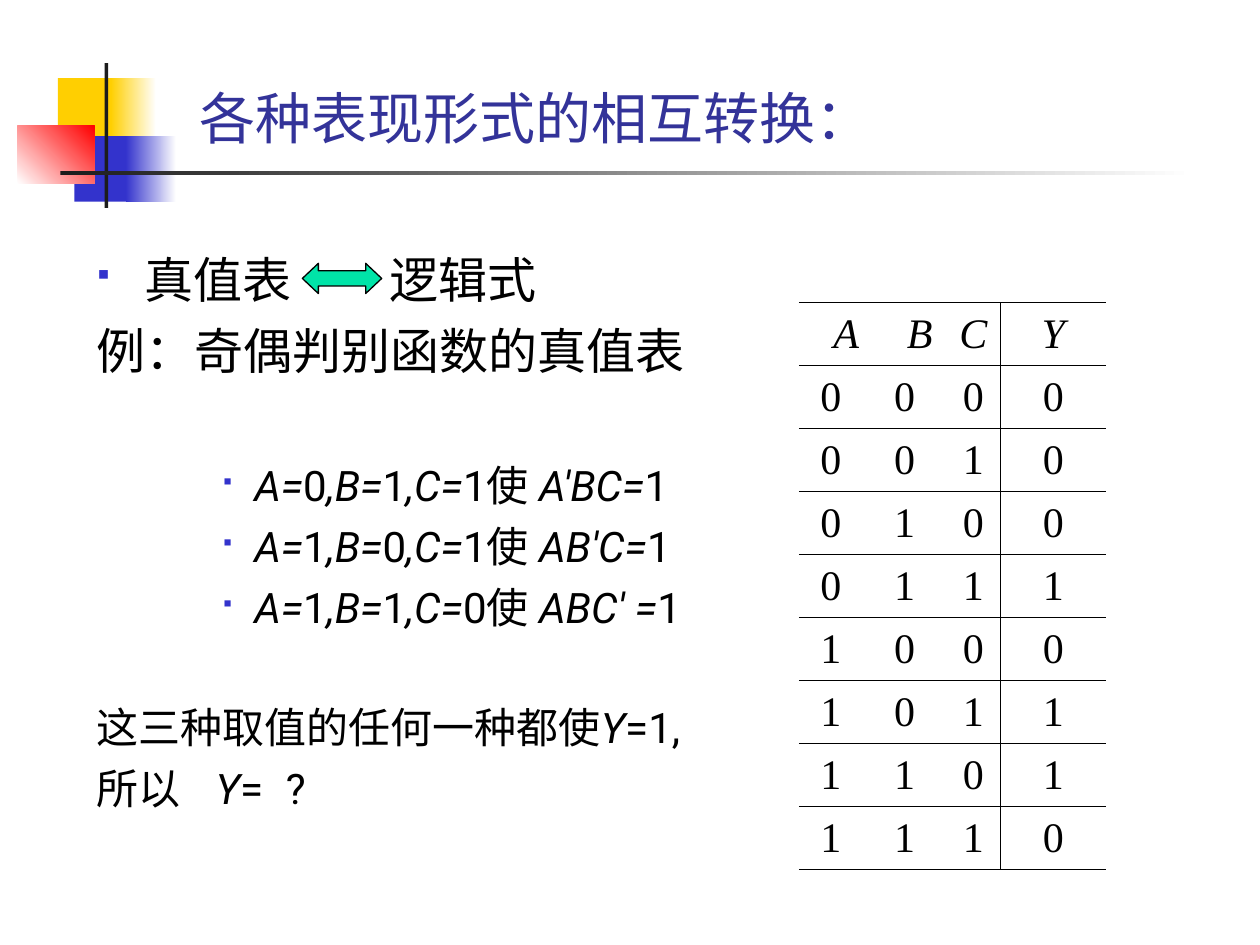
import collections
import pptx
import pptx.dml.color
import pptx.enum.shapes
import pptx.enum.text
import pptx.oxml
import pptx.oxml.ns
import pptx.util

Box = collections.namedtuple("Box", "left top width height")
SLIDE_WIDTH, SLIDE_HEIGHT = pptx.util.Inches(10), pptx.util.Inches(7.5)
COLUMNS, ROWS = 100, 75
BLACK, INK, WHITE = "000000", "1C1C1C", "FFFFFF"
YELLOW, BLUE, RED, NAVY, GREEN = "FFCF01", "3333CC", "FF0000", "333399", "00E4A8"
BODY_FONT, TITLE_FONT, TABLE_FONT = "Roboto", "Noto Sans CJK JP", "Times New Roman"
SHAPES = pptx.enum.shapes.MSO_SHAPE
ALIGN = pptx.enum.text.PP_ALIGN
ANCHOR = pptx.enum.text.MSO_ANCHOR


def color(value):
    return pptx.dml.color.RGBColor.from_string(value)


def across(columns):
    return round(SLIDE_WIDTH * columns / COLUMNS)


def down(rows):
    return round(SLIDE_HEIGHT * rows / ROWS)


def frame(box):
    return across(box.left), down(box.top), across(box.width), down(box.height)


def within(box, left, top, width, height):
    return Box(box.left + left, box.top + top, width, height)


def element(tag, **attributes):
    node = pptx.oxml.parse_xml(f"<a:{tag} {pptx.oxml.ns.nsdecls('a')}/>")
    for name, value in attributes.items():
        node.set(name, str(value))
    return node


def colored(tag, value):
    node = element(tag)
    node.append(element("srgbClr", val=value))
    return node


def format_run(run, font_name, size, value=BLACK, italic=False):
    run.font.name = font_name
    run.font.size = pptx.util.Pt(size)
    run.font.italic = italic
    run.font.color.rgb = color(value)
    run.font._element.find(pptx.oxml.ns.qn("a:latin")).addnext(
        element("ea", typeface=font_name))


def add_block(slide, box, start, end=None, angle=0):
    shape = slide.shapes.add_shape(SHAPES.RECTANGLE, *frame(box))
    shape.shadow.inherit = False
    shape.line.fill.background()
    if end is None:
        shape.fill.solid()
        shape.fill.fore_color.rgb = color(start)
        return
    shape.fill.gradient()
    shape.fill.gradient_angle = angle
    for stop, value in zip(shape.fill.gradient_stops, (start, end)):
        stop.color.rgb = color(value)


def add_emblem(slide, box):
    blocks = [
        ((3.2, 1.2, 4.8, 5.2), YELLOW, None, 0),
        ((7.4, 1.2, 3.6, 5.2), YELLOW, WHITE, 0),
        ((4.5, 5.8, 4.6, 5.2), BLUE, None, 0),
        ((8.6, 5.8, 4, 5.2), BLUE, WHITE, 0),
        ((0, 5, 6.1, 4.6), WHITE, RED, 45),
        ((6.9, 0, 0.3, box.height), INK, None, 0),
        ((3.4, 8.6, box.width - 3.4, 0.3), INK, WHITE, 0),
    ]
    for place, start, end, angle in blocks:
        add_block(slide, within(box, *place), start, end, angle)


def add_title(slide, box, text):
    title = slide.shapes.title
    title.left, title.top, title.width, title.height = frame(box)
    title.text_frame.text = text
    title.text_frame.vertical_anchor = ANCHOR.BOTTOM
    paragraph = title.text_frame.paragraphs[0]
    paragraph.alignment = ALIGN.LEFT
    format_run(paragraph.runs[0], TITLE_FONT, 32, NAVY)


def add_bullet(paragraph, margin, hanging, percent):
    properties = paragraph._p.get_or_add_pPr()
    properties.set("marL", str(across(margin)))
    properties.set("indent", str(-across(hanging)))
    properties.append(colored("buClr", BLUE))
    properties.append(element("buSzPct", val=percent * 1000))
    properties.append(element("buFont", typeface="Wingdings"))
    properties.append(element("buChar", char="§"))


def add_runs(paragraph, pieces, size):
    for piece in pieces:
        run = paragraph.add_run()
        if isinstance(piece, str):
            run.text = piece.lstrip("*")
            format_run(run, BODY_FONT, size, italic=piece.startswith("*"))
        else:
            run.text = " "
            format_run(run, BODY_FONT, size)
            run.font._element.set("spc", str(piece * 100))


def add_body(slide, box):
    cases = [("011", "A′BC="), ("101", "AB′C="), ("110", "ABC′ =")]
    lines = [
        (["真值表", 49, "逻辑式"], 28, 0, (3.8, 3.8, 60)),
        (["例：奇偶判别函数的真值表"], 28, 7, None),
    ]
    for index, ((a, b, c), term) in enumerate(cases):
        pieces = ["*A=", a, "*,B=", b, "*,C=", c + "使 ", "*" + term, "1"]
        lines.append((pieces, 24, 6 if index else 46, (12.5, 2.5, 50)))
    lines += [
        (["这三种取值的任何一种都使", "*Y", "=1,"], 24, 40, None),
        (["所以", 14, "*Y", "=", 7, "?"], 24, 6, None),
    ]
    text_frame = slide.shapes.add_textbox(*frame(box)).text_frame
    text_frame.word_wrap = True
    for index, (pieces, size, space, bullet) in enumerate(lines):
        paragraph = text_frame.add_paragraph() if index else text_frame.paragraphs[0]
        paragraph.space_before = pptx.util.Pt(space)
        if bullet:
            add_bullet(paragraph, *bullet)
        add_runs(paragraph, pieces, size)
    arrow = slide.shapes.add_shape(
        SHAPES.LEFT_RIGHT_ARROW, *frame(within(box, 17.3, 1.6, 6.3, 2.4)))
    arrow.shadow.inherit = False
    arrow.adjustments[1] = 0.53
    arrow.fill.solid()
    arrow.fill.fore_color.rgb = color(GREEN)
    arrow.line.color.rgb = color(BLACK)
    arrow.line.width = pptx.util.Pt(0.75)


def set_borders(cell, visible):
    properties = cell._tc.get_or_add_tcPr()
    for side in "LRTB":
        line = element("ln" + side, w=pptx.util.Pt(0.45))
        line.append(colored("solidFill", BLACK) if side in visible else element("noFill"))
        properties.append(line)
    cell.fill.background()


def add_truth_table(slide, box):
    outputs = "00010110"
    records = ["ABCY"] + [f"{n:03b}{output}" for n, output in enumerate(outputs)]
    widths = [5.1, 2.4, 4.2, 4.3, 8.4]
    table = slide.shapes.add_table(len(records), len(widths), *frame(box)).table
    table.first_row = table.horz_banding = False
    for column, width in zip(table.columns, widths):
        column.width = across(width)
    for row, record in enumerate(records):
        table.rows[row].height = down(box.height / len(records))
        merged, anchors = (0, (0, 2, 3, 4)) if row == 0 else (1, (0, 1, 3, 4))
        table.cell(row, merged).merge(table.cell(row, merged + 1))
        for column in range(len(widths)):
            set_borders(table.cell(row, column), {3: "RTB", 4: "LTB"}.get(column, "TB"))
        for column, text in zip(anchors, record):
            cell = table.cell(row, column)
            cell.text_frame.text = text
            cell.vertical_anchor = ANCHOR.MIDDLE
            paragraph = cell.text_frame.paragraphs[0]
            paragraph.alignment = ALIGN.CENTER
            format_run(paragraph.runs[0], TABLE_FONT, 24, italic=row == 0)


def main():
    presentation = pptx.Presentation()
    presentation.slide_width, presentation.slide_height = SLIDE_WIDTH, SLIDE_HEIGHT
    slide = presentation.slides.add_slide(presentation.slide_layouts.get_by_name("Title Only"))
    add_emblem(slide, Box(1.4, 5, 93.4, 11.5))
    add_title(slide, Box(14.8, 0, 85.2, 12.5), "各种表现形式的相互转换：")
    add_body(slide, Box(6.7, 19.3, 53.6, 45.7))
    add_truth_table(slide, Box(63.4, 24, 24.4, 45))
    presentation.save("out.pptx")


if __name__ == "__main__":
    main()
